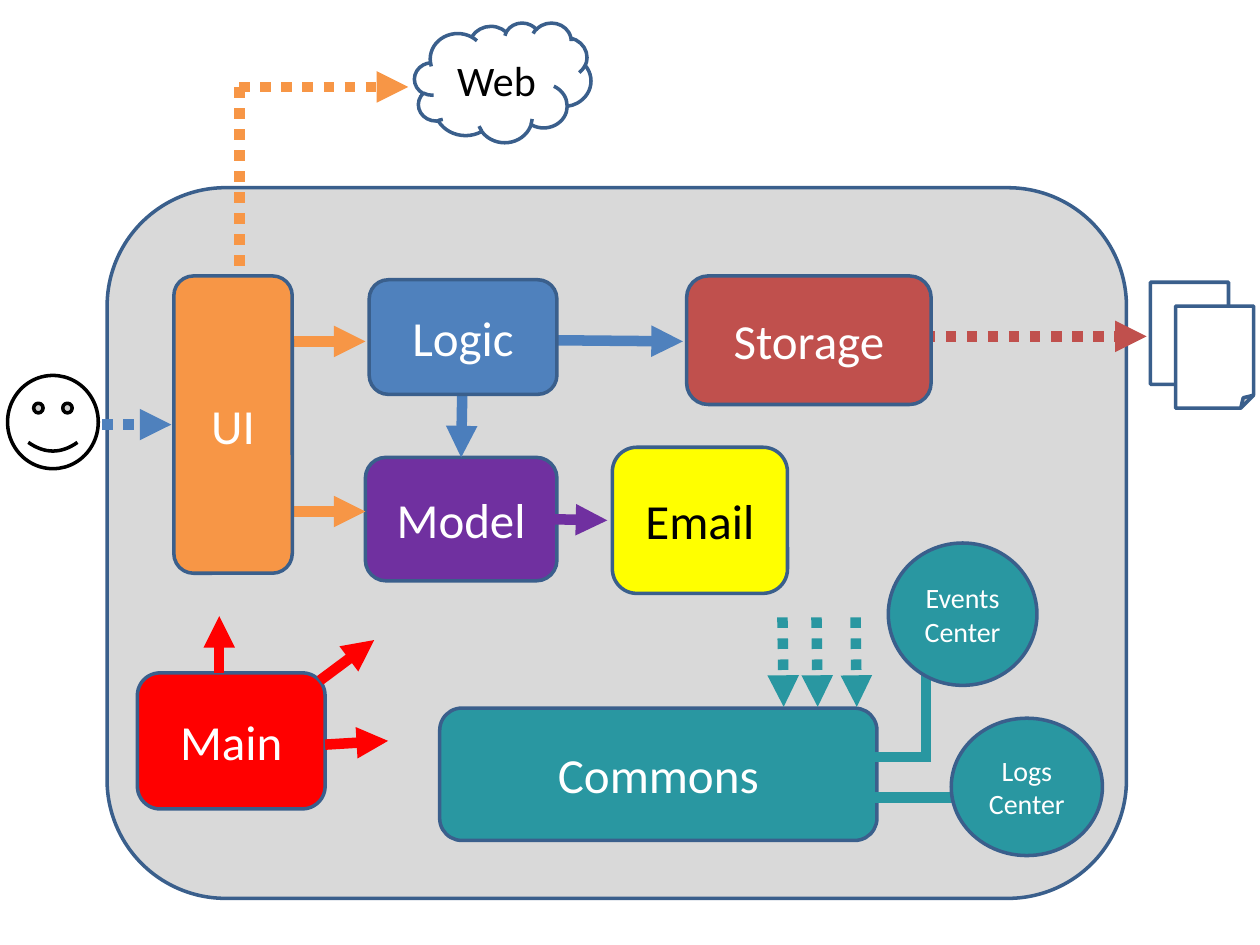
import pptx
import pptx.util
import pptx.dml.color
import pptx.enum.dml
import pptx.enum.shapes
import pptx.enum.text
import pptx.oxml.ns
import lxml.etree
from dataclasses import dataclass

KIND = pptx.enum.shapes.MSO_SHAPE
COLS, ROWS = 100, 75


@dataclass(frozen=True)
class Theme:
    font: str = "Calibri"
    big: int = 28
    mid: int = 24
    small: int = 16
    edge: int = 2
    thick: int = 6
    rim: str = "3A5F8C"
    panel: str = "D9D9D9"
    white: str = "FFFFFF"
    black: str = "000000"
    ui: str = "F79646"
    logic: str = "4F81BD"
    link: str = "4B7EBC"
    model: str = "7030A0"
    store: str = "C0504D"
    email: str = "FFFF00"
    main: str = "FF0000"
    common: str = "2997A1"


@dataclass(frozen=True)
class Box:
    x: float
    y: float
    w: float
    h: float

    def inner(self, x, y, w, h):
        return Box(self.x + x, self.y + y, w, h)


theme = Theme()
deck = pptx.Presentation()
deck.slide_width = pptx.util.Inches(10)
deck.slide_height = pptx.util.Inches(7.5)
slide = deck.slides.add_slide(deck.slide_layouts[6])


def across(n):
    return round(deck.slide_width * n / COLS)


def down(n):
    return round(deck.slide_height * n / ROWS)


def paint(color):
    return pptx.dml.color.RGBColor.from_string(color)


def draw(kind, box, fill, text="", size=theme.big, ink=theme.white, rim=theme.rim):
    shape = slide.shapes.add_shape(
        kind, across(box.x), down(box.y), across(box.w), down(box.h))
    shape.shadow.inherit = False
    shape.fill.solid()
    shape.fill.fore_color.rgb = paint(fill)
    shape.line.color.rgb = paint(rim)
    shape.line.width = pptx.util.Pt(theme.edge)
    if text:
        frame = shape.text_frame
        frame.word_wrap = True
        frame.vertical_anchor = pptx.enum.text.MSO_ANCHOR.MIDDLE
        para = frame.paragraphs[0]
        para.alignment = pptx.enum.text.PP_ALIGN.CENTER
        run = para.add_run()
        run.text = text
        run.font.name = theme.font
        run.font.size = pptx.util.Pt(size)
        run.font.color.rgb = paint(ink)


def join(box, start, end, color, dots=False, head=True):
    (ax, ay), (bx, by) = start, end
    wire = slide.shapes.add_connector(
        pptx.enum.shapes.MSO_CONNECTOR.STRAIGHT,
        across(box.x + ax), down(box.y + ay), across(box.x + bx), down(box.y + by))
    wire.line.color.rgb = paint(color)
    wire.line.width = pptx.util.Pt(theme.thick)
    if dots:
        wire.line.dash_style = pptx.enum.dml.MSO_LINE.ROUND_DOT
    name = pptx.oxml.ns.qn
    props = wire._element.spPr
    if head:
        tail = lxml.etree.SubElement(props.find(name("a:ln")), name("a:tailEnd"))
        tail.set("type", "triangle")
    lxml.etree.SubElement(props, name("a:effectLst"))


def panel(box):
    draw(KIND.ROUNDED_RECTANGLE, box, theme.panel)


def user(box):
    draw(KIND.SMILEY_FACE, box.inner(0, 0, 7.2, 7.4), theme.white, rim=theme.black)
    join(box, (7.5, 3.9), (box.w, 3.9), theme.logic, dots=True)


def files(box):
    for x, y in ((17.9, 0), (19.9, 1.9)):
        draw(KIND.FOLDED_CORNER, box.inner(x, y, 6.2, 8.1), theme.white)
    join(box, (0, 4.3), (17.6, 4.3), theme.store, dots=True)


def web(box):
    draw(KIND.CLOUD, box.inner(13.9, 0, 14, 9.5), theme.white,
         "Web", theme.mid, theme.black)
    join(box, (0, box.h), (0, 5.1), theme.ui, dots=True, head=False)
    join(box, (0, 5.1), (13.4, 5.1), theme.ui, dots=True)


def flow(box):
    block = KIND.ROUNDED_RECTANGLE
    draw(block, box.inner(15.2, 14.4, 15.2, 9.8), theme.model, "Model")
    draw(block, box.inner(40.7, 0, 19.4, 10.2), theme.store, "Storage")
    draw(block, box.inner(34.8, 13.6, 13.9, 11.6), theme.email, "Email",
         ink=theme.black)
    for y in (5.2, 18.7):
        join(box, (8.6, y), (15.2, y), theme.ui)
    join(box, (22.9, 8.8), (22.8, 14.4), theme.link)
    join(box, (29.9, 5.1), (40.4, 5.2), theme.logic)
    join(box, (29.5, 19.3), (34.4, 19.4), theme.model)
    draw(block, box.inner(0, 0, 9.4, 23.6), theme.ui, "UI")
    draw(block, box.inner(15.5, 0.3, 14.9, 9.1), theme.logic, "Logic")


def start(box):
    draw(KIND.ROUNDED_RECTANGLE, box.inner(0, 4.5, 14.9, 10.8), theme.main, "Main")
    for tip, end in (((14.9, 10.2), (19.9, 9.9)),
                     ((6.5, 4.5), (6.5, 0)),
                     ((14.5, 5.1), (18.8, 1.9))):
        join(box, tip, end, theme.main)


def common(box):
    draw(KIND.ROUNDED_RECTANGLE, box.inner(0, 13.1, 34.7, 10.5),
         theme.common, "Commons")
    for x in (27.2, 29.9, 33):
        join(box, (x, 5.9), (x + 0.1, 13), theme.common, dots=True)
    for tip, end in (((38.6, 8.9), (38.6, 17)),
                     ((42.6, 20.2), (34.5, 20.2)),
                     ((39, 17), (33.5, 17))):
        join(box, tip, end, theme.common, head=False)
    for text, spot in (("Logs Center", (40.6, 13.9, 12, 10.9)),
                       ("Events Center", (35.6, 0, 11.8, 11.3))):
        draw(KIND.OVAL, box.inner(*spot), theme.common, text, theme.small)


def main():
    panel(Box(8.5, 14.9, 80.9, 56.4))
    user(Box(0.6, 29.8, 13, 7.4))
    files(Box(73.4, 22.4, 26.1, 10))
    start(Box(10.9, 48.9, 19.9, 15.3))
    web(Box(19, 1.8, 27.9, 19.3))
    flow(Box(13.8, 21.9, 60.1, 25.2))
    common(Box(34.9, 43.1, 52.6, 24.8))
    deck.save("out.pptx")


if __name__ == "__main__":
    main()
